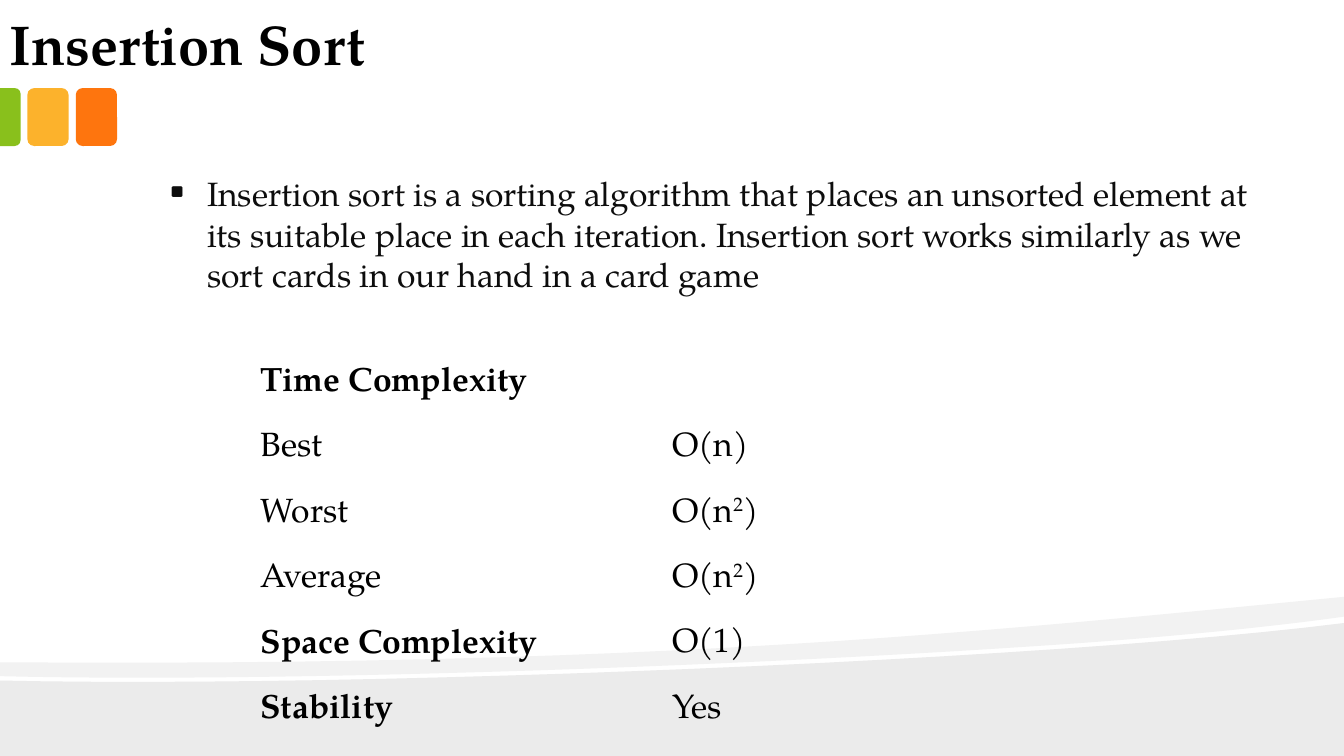
from pptx import Presentation
from pptx.dml.color import RGBColor
from pptx.enum.shapes import MSO_SHAPE
from pptx.enum.text import MSO_ANCHOR
from pptx.util import Cm, Pt
from lxml.etree import SubElement
from pptx.oxml.ns import qn

FONT = "TeX Gyre Pagella"
BLACK = RGBColor(0x00, 0x00, 0x00)
INK = RGBColor(0x0D, 0x0D, 0x0D)
GREEN = RGBColor(0x89, 0xC0, 0x1C)
YELLOW = RGBColor(0xFC, 0xB2, 0x2C)
ORANGE = RGBColor(0xFE, 0x75, 0x0E)
GROUND_GREY = RGBColor(0xEB, 0xEB, 0xEB)
BAND_GREY = RGBColor(0xF2, 0xF2, 0xF2)
NO_STYLE_NO_GRID = "{2D5ABB26-0587-4C30-8999-92F81FD0307C}"

WIDTH, HEIGHT = 33.87, 19.05
CURVE_STEPS = 24

COMPLEXITY_ROWS = [
    ("Time Complexity", True, []),
    ("Best", False, ["O(n)"]),
    ("Worst", False, ["O(n", "2", ")"]),
    ("Average", False, ["O(n", "2", ")"]),
    ("Space Complexity", True, ["O(1)"]),
    ("Stability", True, ["Yes"]),
]


def paint(shape, color):
    shape.shadow.inherit = False
    shape.fill.solid()
    shape.fill.fore_color.rgb = color
    shape.line.fill.background()


def add_run(paragraph, text, size, color=BLACK, bold=False):
    run = paragraph.add_run()
    run.text = text
    run.font.name = FONT
    run.font.size = Pt(size)
    run.font.bold = bold
    run.font.color.rgb = color
    return run


def curve(start, control_1, control_2, end):
    """Points along a cubic curve, without its start."""
    points = []
    for step in range(1, CURVE_STEPS + 1):
        t = step / CURVE_STEPS
        weights = ((1 - t) ** 3, 3 * t * (1 - t) ** 2, 3 * t * t * (1 - t), t ** 3)
        points.append(tuple(
            sum(weight * value for weight, value in zip(weights, values))
            for values in zip(start, control_1, control_2, end)))
    return points


def add_outline(slide, left, top, points, color):
    corners = [(Cm(left + x), Cm(top + y)) for x, y in points]
    builder = slide.shapes.build_freeform(*corners[0])
    builder.add_line_segments(corners[1:], close=True)
    paint(builder.convert_to_shape(), color)


def add_waves(slide, left, top, width, height):
    # Ground below the white gap
    ground = [(width, 0.66), (width, height), (0, height), (0, 2.11)]
    ground += curve(ground[-1], (8.94, 2.31), (26.47, 1.6), ground[0])
    add_outline(slide, left, top, ground, GROUND_GREY)

    # Lighter band above it
    band = [(width, 0), (width, 0.5)]
    band += curve(band[-1], (31.88, 0.78), (29.18, 1.04), (26.14, 1.24))
    band += curve(band[-1], (17.73, 1.8), (6.55, 2.16), (0, 2))
    band.append((0, 1.65))
    band += curve(band[-1], (16.56, 1.77), (24.66, 0.89), band[0])
    add_outline(slide, left, top, band, BAND_GREY)


def add_tabs(slide, left, top, tab_width, height):
    # Half tab, turned so that its rounded end faces right
    half = tab_width / 2
    shift = (height - half) / 2
    tab = slide.shapes.add_shape(
        MSO_SHAPE.ROUND_2_SAME_RECTANGLE, Cm(left - shift), Cm(top + shift), Cm(height), Cm(half))
    tab.rotation = 90
    tab.adjustments[0] = 0.292
    tab.adjustments[1] = 0
    paint(tab, GREEN)

    # Whole tabs
    for index, color in enumerate((YELLOW, ORANGE)):
        tab = slide.shapes.add_shape(
            MSO_SHAPE.ROUNDED_RECTANGLE, Cm(left + 0.69 + index * 1.22), Cm(top),
            Cm(tab_width), Cm(height))
        paint(tab, color)


def add_title(slide, left, top, width, height):
    frame = slide.shapes.add_textbox(Cm(left), Cm(top), Cm(width), Cm(height)).text_frame
    frame.word_wrap = True
    frame.vertical_anchor = MSO_ANCHOR.BOTTOM
    frame.margin_left = frame.margin_right = Cm(0.34)
    frame.margin_top = frame.margin_bottom = Cm(0.17)
    add_run(frame.paragraphs[0], "Insertion Sort", 40, bold=True)


def add_description(slide, left, top, width, height):
    frame = slide.shapes.add_textbox(Cm(left), Cm(top), Cm(width), Cm(height)).text_frame
    frame.word_wrap = True
    paragraph = frame.paragraphs[0]
    add_run(paragraph,
            "Insertion sort is a sorting algorithm that places an unsorted element at its "
            "suitable place in each iteration. Insertion sort works similarly as we sort "
            "cards in our hand in a card game", 24, INK)
    # Hanging square bullet
    properties = paragraph._p.get_or_add_pPr()
    properties.set("marL", str(Cm(0.95)))
    properties.set("indent", str(-Cm(0.95)))
    SubElement(properties, qn("a:buFont"), typeface=FONT)
    SubElement(properties, qn("a:buChar"), char="▪")


def add_complexity_table(slide, left, top, width, height):
    frame = slide.shapes.add_table(
        len(COMPLEXITY_ROWS), 2, Cm(left), Cm(top), Cm(width), Cm(height))
    table = frame.table
    table.first_row = table.horz_banding = False
    table._tbl.tblPr.find(qn("a:tableStyleId")).text = NO_STYLE_NO_GRID

    for row, (label, bold, value) in enumerate(COMPLEXITY_ROWS):
        for column, parts in enumerate(([label], value)):
            cell = table.cell(row, column)
            cell.fill.background()
            cell.vertical_anchor = MSO_ANCHOR.MIDDLE
            cell.margin_left = cell.margin_right = Cm(0.64)
            cell.margin_top = cell.margin_bottom = Cm(0.3)
            for part in parts:
                run = add_run(cell.text_frame.paragraphs[0], part, 24,
                              bold=bold and column == 0)
                if part == "2":  # exponent
                    run.font._element.set("baseline", "30000")


def main():
    presentation = Presentation()
    presentation.slide_width = Cm(WIDTH)
    presentation.slide_height = Cm(HEIGHT)
    slide = presentation.slides.add_slide(presentation.slide_layouts[6])

    add_waves(slide, 0, 15.04, WIDTH, HEIGHT - 15.04)
    add_tabs(slide, 0, 2.22, 1.04, 1.46)
    add_title(slide, -0.1, 0, 26.34, 2.1)
    add_description(slide, 4.02, 4.24, 28.3, 3.33)
    add_complexity_table(slide, 5.93, 8.84, 20.74, 9.9)

    presentation.save("out.pptx")


if __name__ == "__main__":
    main()
